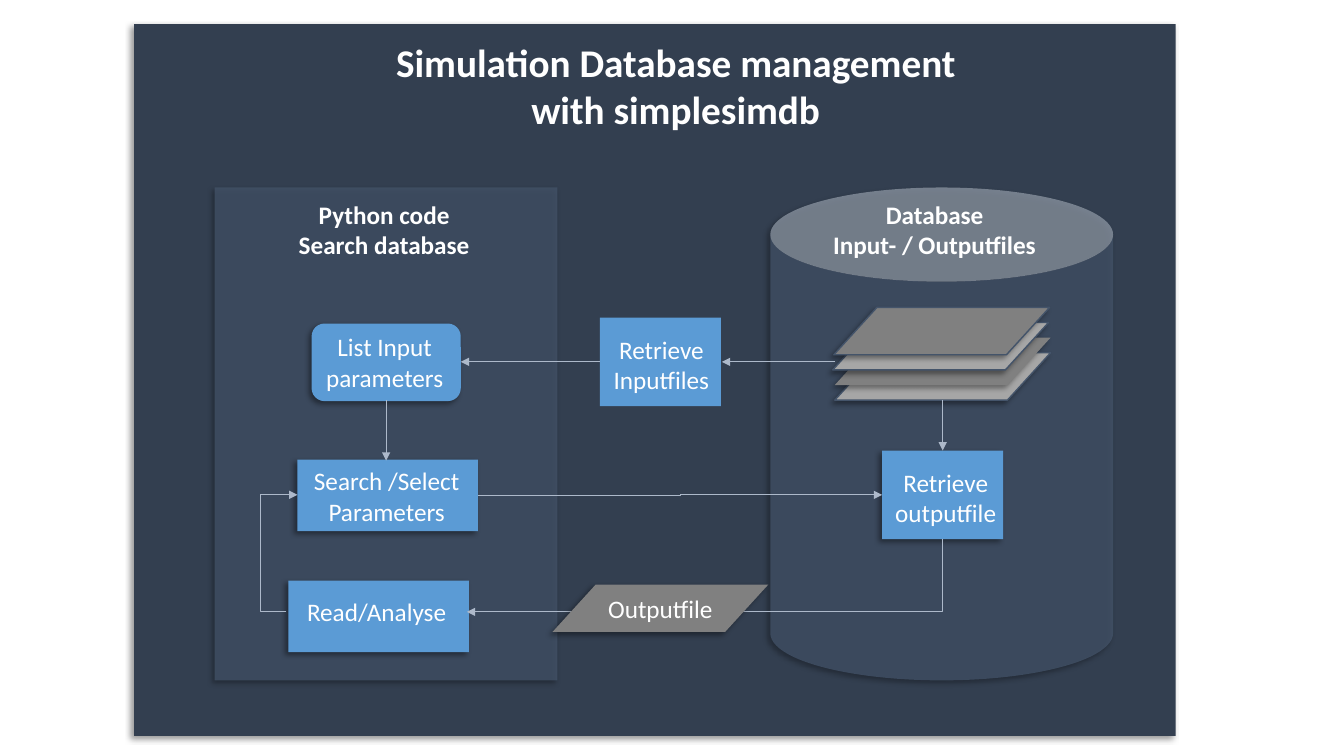
from pptx import Presentation
from pptx.dml.color import RGBColor
from pptx.enum.shapes import MSO_CONNECTOR as LINK, MSO_SHAPE as KIND
from pptx.enum.text import MSO_ANCHOR, PP_ALIGN
from pptx.oxml import parse_xml
from pptx.oxml.ns import nsdecls, qn
from pptx.util import Inches, Pt
from lxml.etree import SubElement

NAVY = RGBColor(0x33, 0x3F, 0x50)
SLATE = RGBColor(0x44, 0x54, 0x6A)
BLUE = RGBColor(0x5B, 0x9B, 0xD5)
GREY = RGBColor(0x80, 0x80, 0x80)
SILVER = RGBColor(0xA6, 0xA6, 0xA6)
PALE = RGBColor(0xAD, 0xB9, 0xCA)
WHITE = RGBColor(0xFF, 0xFF, 0xFF)
SHADE = (
    f'<a:effectLst {nsdecls("a")}><a:outerShdw blurRad="50800" dist="38100" '
    'dir="8100000" algn="tr" rotWithShape="0"><a:srgbClr val="000000">'
    '<a:alpha val="40000"/></a:srgbClr></a:outerShdw></a:effectLst>'
)


class Sketch:
    """Draws styled elements on the current slide."""

    font = "Calibri"
    size = 18

    def __init__(self, slide):
        self.slide = slide

    def shape(self, kind, area, fill, edge=None, alpha=None, shade=True):
        item = self.slide.shapes.add_shape(kind, *map(Inches, area))
        props = item._element.spPr
        item.fill.solid()
        item.fill.fore_color.rgb = fill
        if alpha:
            tint = props.find(".//" + qn("a:srgbClr"))
            SubElement(tint, qn("a:alpha")).set("val", str(alpha * 1000))
        if edge:
            item.line.color.rgb = edge
            item.line.width = Pt(1)
        else:
            item.line.fill.background()
        item.shadow.inherit = False
        if shade:
            props.replace(props.find(qn("a:effectLst")), parse_xml(SHADE))
        return item

    def label(self, frame, lines, size=None, bold=False):
        for row, line in enumerate(lines):
            para = frame.add_paragraph() if row else frame.paragraphs[0]
            para.alignment = PP_ALIGN.CENTER
            run = para.add_run()
            run.text = line
            run.font.name = self.font
            run.font.size = Pt(size or self.size)
            run.font.bold = bold
            run.font.color.rgb = WHITE

    def text(self, area, *lines, size=None, bold=False, wrap=True, anchor=MSO_ANCHOR.TOP):
        box = self.slide.shapes.add_textbox(*map(Inches, area))
        box.text_frame.word_wrap = wrap
        box.text_frame.vertical_anchor = anchor
        self.label(box.text_frame, lines, size, bold)
        return box

    def arrow(self, start, end, bend=None):
        kind = LINK.STRAIGHT if bend is None else LINK.ELBOW
        link = self.slide.shapes.add_connector(kind, *map(Inches, start + end))
        link.line.color.rgb = PALE
        link.line.width = Pt(0.75)
        props = link._element.spPr
        if bend is not None:
            guide = SubElement(props.find(".//" + qn("a:avLst")), qn("a:gd"))
            guide.set("name", "adj1")
            guide.set("fmla", f"val {round(bend * 100000)}")
        SubElement(props.find(qn("a:ln")), qn("a:tailEnd")).set("type", "triangle")
        SubElement(props, qn("a:effectLst"))


deck = Presentation()
deck.slide_width, deck.slide_height = Inches(13.33), Inches(7.5)
art = Sketch(deck.slides.add_slide(deck.slide_layouts[6]))

art.shape(KIND.RECTANGLE, (1.33, 0.24, 10.33, 7.06), NAVY)
store = art.shape(KIND.CAN, (7.64, 1.86, 3.4, 4.89), SLATE, alpha=74)
store.adjustments[0] = 0.275
art.shape(KIND.RECTANGLE, (2.13, 1.86, 3.4, 4.89), SLATE, alpha=74)

sheets = [(8.28, SILVER, SLATE), (8.28, GREY, None), (8.26, SILVER, SLATE), (8.27, GREY, SLATE)]
for step, (left, fill, edge) in enumerate(sheets):
    art.shape(KIND.FLOWCHART_DATA, (left, 3.5 - 0.15 * step, 2.14, 0.47), fill, edge)

MID = MSO_ANCHOR.MIDDLE
TOP = MSO_ANCHOR.TOP
boxes = [
    (KIND.RECTANGLE, (2.95, 4.56, 1.79, 0.71), (2.94, 4.57, 1.79, 0.71),
     "Search /Select Parameters", TOP, True),
    (KIND.ROUNDED_RECTANGLE, (3.09, 3.21, 1.48, 0.77), (3.09, 3.24, 1.45, 0.78),
     "List Input parameters", TOP, True),
    (KIND.RECTANGLE, (2.86, 5.76, 1.79, 0.71), (2.84, 5.87, 1.79, 0.4),
     "Read/Analyse", TOP, True),
    (KIND.RECTANGLE, (8.75, 4.47, 1.2, 0.88), (8.76, 4.58, 1.24, 0.71),
     "Retrieve outputfile", MID, True),
    (KIND.RECTANGLE, (5.95, 3.15, 1.2, 0.88), (5.94, 3.26, 1.24, 0.71),
     "Retrieve Inputfiles", MID, False),
]
for kind, area, place, label, anchor, shade in boxes:
    art.shape(kind, area, BLUE, shade=shade)
    art.text(place, label, anchor=anchor)

arrows = [
    ((5.95, 3.59), (4.57, 3.59), None),
    ((8.28, 3.59), (7.16, 3.59), None),
    ((3.83, 3.97), (3.83, 4.57), None),
    ((9.35, 3.97), (9.35, 4.47), None),
    ((4.74, 4.92), (8.75, 4.91), 0.5),
    ((9.35, 5.35), (4.63, 6.07), 0),
    ((2.84, 6.07), (2.95, 4.91), -2.31),
]
for start, end, bend in arrows:
    art.arrow(start, end, bend)

output = art.shape(KIND.FLOWCHART_DATA, (5.48, 5.8, 2.14, 0.47), GREY)
art.label(output.text_frame, ["Outputfile"])

title = art.text((3.83, 0.33, 5.82, 1.04), "Simulation Database management",
                 "with simplesimdb", size=28, bold=True, wrap=False)
title.text_frame.paragraphs[0].alignment = PP_ALIGN.LEFT
art.text((2.42, 1.93, 2.78, 0.71), "Python code", "Search database", bold=True)
art.text((8.08, 1.93, 2.38, 0.71), "Database", "Input- / Outputfiles", bold=True)

deck.save("out.pptx")
